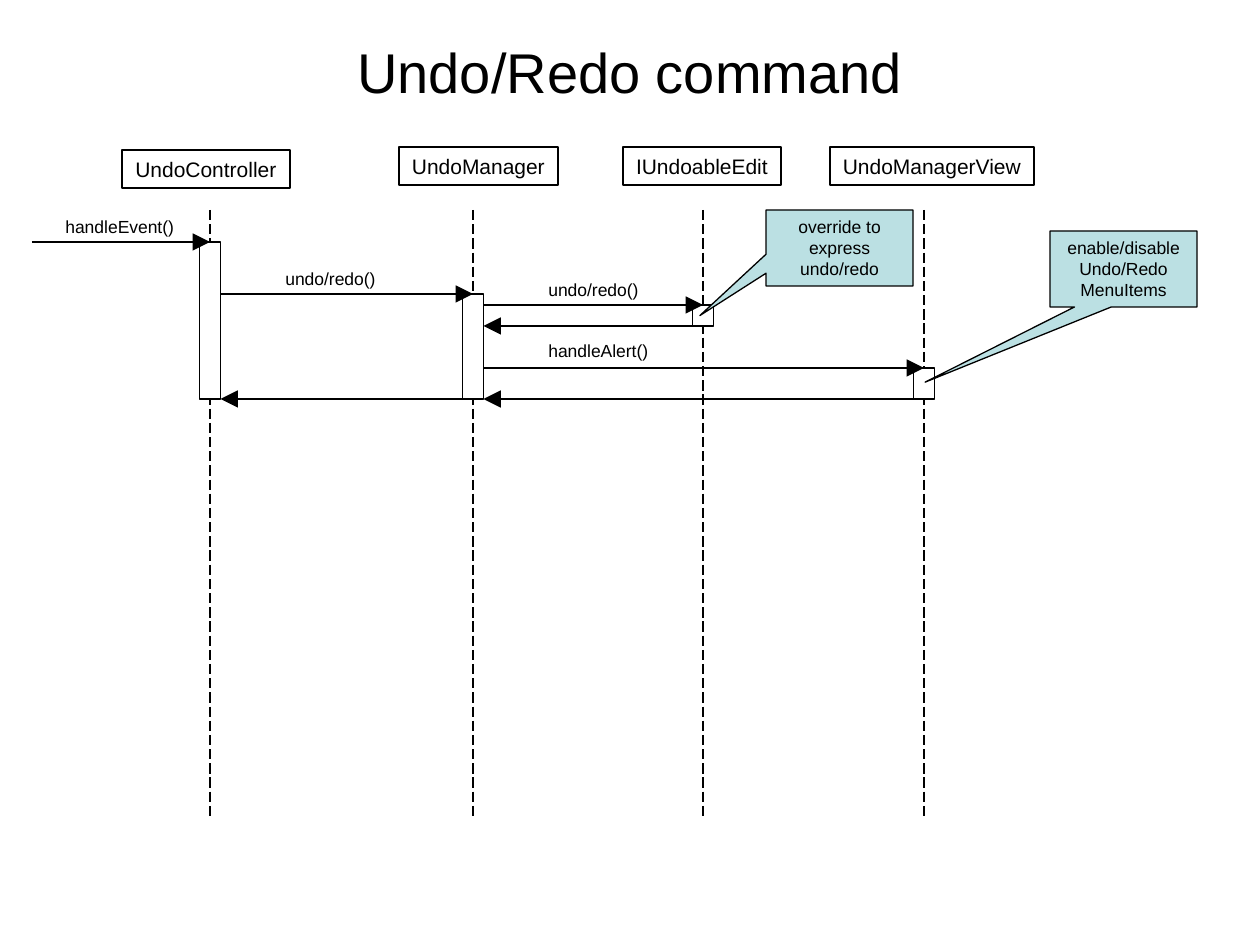
import dataclasses

import pptx
import pptx.dml.color
import pptx.enum.dml
import pptx.enum.shapes
import pptx.enum.text
import pptx.oxml
import pptx.oxml.ns
import pptx.util

EMU_PER_PX = 914400 / 126
SLIDE_SIZE = (1260, 945)
TOP, BOTTOM = 0, 2  # connection sites
BAR_WIDTH = 21
LIFELINE_TOP, LIFELINE_BOTTOM = 210, 819
RETURN_Y = 399

Shapes = pptx.enum.shapes.MSO_SHAPE
Align = pptx.enum.text.PP_ALIGN
Anchor = pptx.enum.text.MSO_ANCHOR
AutoSize = pptx.enum.text.MSO_AUTO_SIZE


@dataclasses.dataclass(frozen=True)
class Theme:
    font: str = "Arial"
    ink: str = "000000"
    paper: str = "FFFFFF"
    note: str = "BBE0E3"
    title_size: int = 32
    header_size: int = 12
    label_size: int = 10
    line_width: float = 0.75


THEME = Theme()

# name: (header box, lifeline centre, activation top, activation bottom)
PARTICIPANTS = {
    "UndoController": ((122, 150, 168, 38), 210, 242, RETURN_Y),
    "UndoManager": ((399, 147, 159, 38), 473, 294, RETURN_Y),
    "IUndoableEdit": ((623, 147, 158, 38), 703, 305, 326),
    "UndoManagerView": ((830, 147, 204, 38), 924, 368, RETURN_Y),
}

# sender (None for the outside), receiver, whether it returns
MESSAGES = [
    (None, "UndoController", False),
    ("UndoController", "UndoManager", True),
    ("UndoManager", "IUndoableEdit", True),
    ("UndoManager", "UndoManagerView", True),
]

LABELS = [
    ("handleEvent()", (53, 210, 134, 34)),
    ("undo/redo()", (273, 262, 115, 34)),
    ("undo/redo()", (536, 273, 115, 34)),
    ("handleAlert()", (536, 334, 125, 34)),
]

# text, box, pointer position relative to the box
NOTES = [
    ("override to express undo/redo", (766, 210, 147, 76), (-0.95, 0.89)),
    ("enable/disable Undo/Redo MenuItems", (1050, 231, 147, 76), (-1.35, 1.49)),
]


def px(length):
    return pptx.util.Emu(round(length * EMU_PER_PX))


def color(value):
    return pptx.dml.color.RGBColor.from_string(value)


def set_attributes(target, values):
    for name, value in values.items():
        setattr(target, name, value)


def write_text(shape, text, size, alignment, **frame_format):
    frame = shape.text_frame
    frame.text = text
    set_attributes(frame, {
        "margin_left": pptx.util.Inches(0.1),
        "margin_right": pptx.util.Inches(0.1),
        "margin_top": pptx.util.Inches(0.05),
        "margin_bottom": pptx.util.Inches(0.05),
        **frame_format,
    })
    paragraph = frame.paragraphs[0]
    paragraph.alignment = alignment
    set_attributes(paragraph.font, {"name": THEME.font, "size": pptx.util.Pt(size)})
    paragraph.font.color.rgb = color(THEME.ink)


def style_line(line):
    line.color.rgb = color(THEME.ink)
    line.width = pptx.util.Pt(THEME.line_width)


def add_title(slide, text):
    title = slide.shapes.title
    set_attributes(title, {"left": px(63), "top": px(38),
                           "width": px(1134), "height": px(67)})
    write_text(title, text, THEME.title_size, Align.CENTER, word_wrap=True,
               vertical_anchor=Anchor.MIDDLE, auto_size=AutoSize.NONE)


def add_outlined_shape(slide, kind, box, fill=None):
    shape = slide.shapes.add_shape(kind, *map(px, box))
    shape.shadow.inherit = False
    if fill:
        shape.fill.solid()
        shape.fill.fore_color.rgb = color(fill)
    else:
        shape.fill.background()
    style_line(shape.line)
    return shape


def add_line(slide, start, end):
    connector = slide.shapes.add_connector(
        pptx.enum.shapes.MSO_CONNECTOR.STRAIGHT, *map(px, (*start, *end)))
    style_line(connector.line)
    properties = connector._element.spPr
    properties.append(pptx.oxml.parse_xml(
        f'<a:effectLst {pptx.oxml.ns.nsdecls("a")}/>'))
    return connector


def add_arrow(slide, start, end):
    connector = add_line(slide, start, end)
    connector.line._get_or_add_ln().append(pptx.oxml.parse_xml(
        f'<a:tailEnd {pptx.oxml.ns.nsdecls("a")} type="triangle" w="lg" len="lg"/>'))
    return connector


def add_participant(slide, name):
    """Draw header, lifeline and activation bar; return the bar."""
    header_box, centre, top, bottom = PARTICIPANTS[name]
    header = add_outlined_shape(slide, Shapes.RECTANGLE, header_box)
    write_text(header, name, THEME.header_size, Align.CENTER, word_wrap=False,
               vertical_anchor=Anchor.MIDDLE, auto_size=AutoSize.SHAPE_TO_FIT_TEXT)
    lifeline = add_line(slide, (centre, LIFELINE_TOP), (centre, LIFELINE_BOTTOM))
    lifeline.line.dash_style = pptx.enum.dml.MSO_LINE.LONG_DASH
    bar_box = (centre - BAR_WIDTH / 2, top, BAR_WIDTH, bottom - top)
    return add_outlined_shape(slide, Shapes.RECTANGLE, bar_box, THEME.paper)


def add_message(slide, bars, sender, receiver, returns):
    """Call the top of the receiver's bar, and return from its bottom."""
    _, centre, top, bottom = PARTICIPANTS[receiver]
    sender_x = PARTICIPANTS[sender][1] + BAR_WIDTH / 2 if sender else 32
    call = add_arrow(slide, (sender_x, top), (centre, top))
    call.end_connect(bars[receiver], TOP)
    if returns:
        reply = add_arrow(slide, (centre, bottom), (sender_x, bottom))
        reply.begin_connect(bars[receiver], BOTTOM)


def add_label(slide, text, box):
    label = slide.shapes.add_textbox(*map(px, box))
    write_text(label, text, THEME.label_size, Align.LEFT, word_wrap=False,
               auto_size=AutoSize.SHAPE_TO_FIT_TEXT)


def add_note(slide, text, box, pointer):
    note = add_outlined_shape(slide, Shapes.RECTANGULAR_CALLOUT, box, THEME.note)
    for index, offset in enumerate(pointer):
        note.adjustments[index] = offset
    write_text(note, text, THEME.label_size, Align.CENTER, word_wrap=True,
               vertical_anchor=Anchor.TOP, auto_size=AutoSize.SHAPE_TO_FIT_TEXT)


def main():
    presentation = pptx.Presentation()
    presentation.slide_width, presentation.slide_height = map(px, SLIDE_SIZE)
    slide = presentation.slides.add_slide(presentation.slide_layouts[5])
    add_title(slide, "Undo/Redo command")
    bars = {name: add_participant(slide, name) for name in PARTICIPANTS}
    for message in MESSAGES:
        add_message(slide, bars, *message)
    for label in LABELS:
        add_label(slide, *label)
    for note in NOTES:
        add_note(slide, *note)
    presentation.save("out.pptx")


if __name__ == "__main__":
    main()
